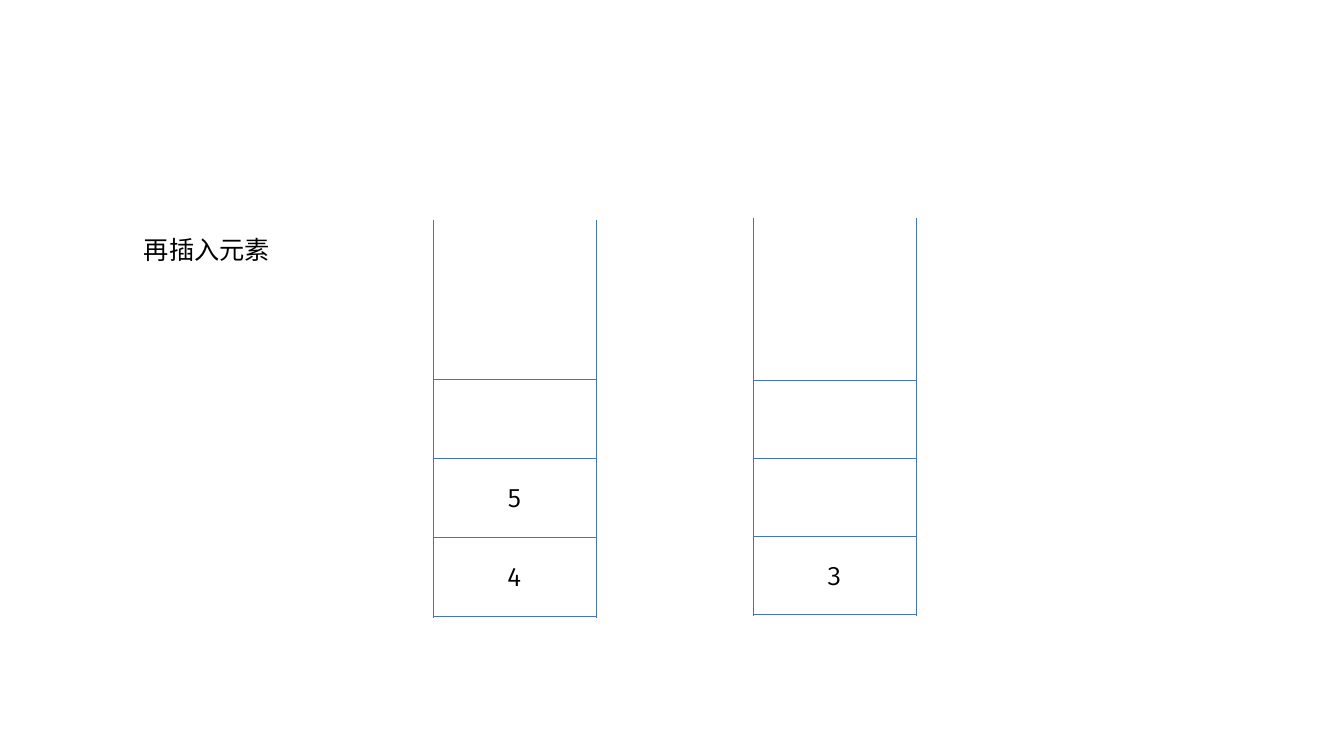
import dataclasses

import lxml.etree
import pptx
import pptx.dml.color
import pptx.enum.shapes
import pptx.enum.text
import pptx.oxml.ns
import pptx.util

# Content: stack positions in px, values from the bottom up
CAPTION = {"text": "再插入元素", "center": (207, 249), "width": 284}
STACKS = [
    {"left": 433, "top": 220, "floor": 616, "cell": 79, "values": ["4", "5"]},
    {"left": 753, "top": 218, "floor": 614, "cell": 78, "values": ["3"]},
]
STACK_WIDTH = 163
FLOOR_GAP = 2
DIVIDERS = 4
VALUE_WIDTH = 128
TEXT_HEIGHT = 40


@dataclasses.dataclass(frozen=True)
class Theme:
    line = pptx.dml.color.RGBColor(0x44, 0x72, 0xC4)
    text = pptx.dml.color.RGBColor(0, 0, 0)
    line_width = pptx.util.Pt(0.5)
    text_size = pptx.util.Pt(18)
    value_font = "Fira Code"
    caption_font = "Noto Sans CJK SC"


def px(length):
    return round(length * 914400 / 100.8)


def add_line(slide, x1, y1, x2, y2):
    line = slide.shapes.add_connector(
        pptx.enum.shapes.MSO_CONNECTOR.STRAIGHT, px(x1), px(y1), px(x2), px(y2))
    line.line.color.rgb = Theme.line
    line.line.width = Theme.line_width
    lxml.etree.SubElement(line._element.spPr, pptx.oxml.ns.qn("a:effectLst"))


def add_label(slide, text, center, width, font_name):
    x, y = center
    label = slide.shapes.add_textbox(
        px(x - width / 2), px(y - TEXT_HEIGHT / 2), px(width), px(TEXT_HEIGHT))
    frame = label.text_frame
    frame.word_wrap = True
    frame.auto_size = pptx.enum.text.MSO_AUTO_SIZE.SHAPE_TO_FIT_TEXT
    paragraph = frame.paragraphs[0]
    paragraph.text = text
    paragraph.alignment = pptx.enum.text.PP_ALIGN.CENTER
    paragraph.font.name = font_name
    paragraph.font.size = Theme.text_size
    paragraph.font.color.rgb = Theme.text
    # East Asian glyphs take their own typeface
    properties = paragraph._p.pPr.find(pptx.oxml.ns.qn("a:defRPr"))
    lxml.etree.SubElement(properties, pptx.oxml.ns.qn("a:ea"), typeface=font_name)


def add_stack(slide, left, top, floor, cell, values):
    right = left + STACK_WIDTH
    # Side walls
    for wall in (left, right):
        add_line(slide, wall, top, wall, floor + FLOOR_GAP)
    # Floor and cell dividers
    for level in range(DIVIDERS):
        y = floor - level * cell
        add_line(slide, left, y, right, y)
    # Values in their cells
    for level, value in enumerate(values):
        center = (left + STACK_WIDTH / 2, floor - (level + 0.5) * cell)
        add_label(slide, value, center, VALUE_WIDTH, Theme.value_font)


def main():
    presentation = pptx.Presentation()
    presentation.slide_width = px(1344)
    presentation.slide_height = px(756)
    slide = presentation.slides.add_slide(presentation.slide_layouts[6])

    add_label(slide, CAPTION["text"], CAPTION["center"], CAPTION["width"],
              Theme.caption_font)
    for stack in STACKS:
        add_stack(slide, **stack)

    presentation.save("out.pptx")


if __name__ == "__main__":
    main()
